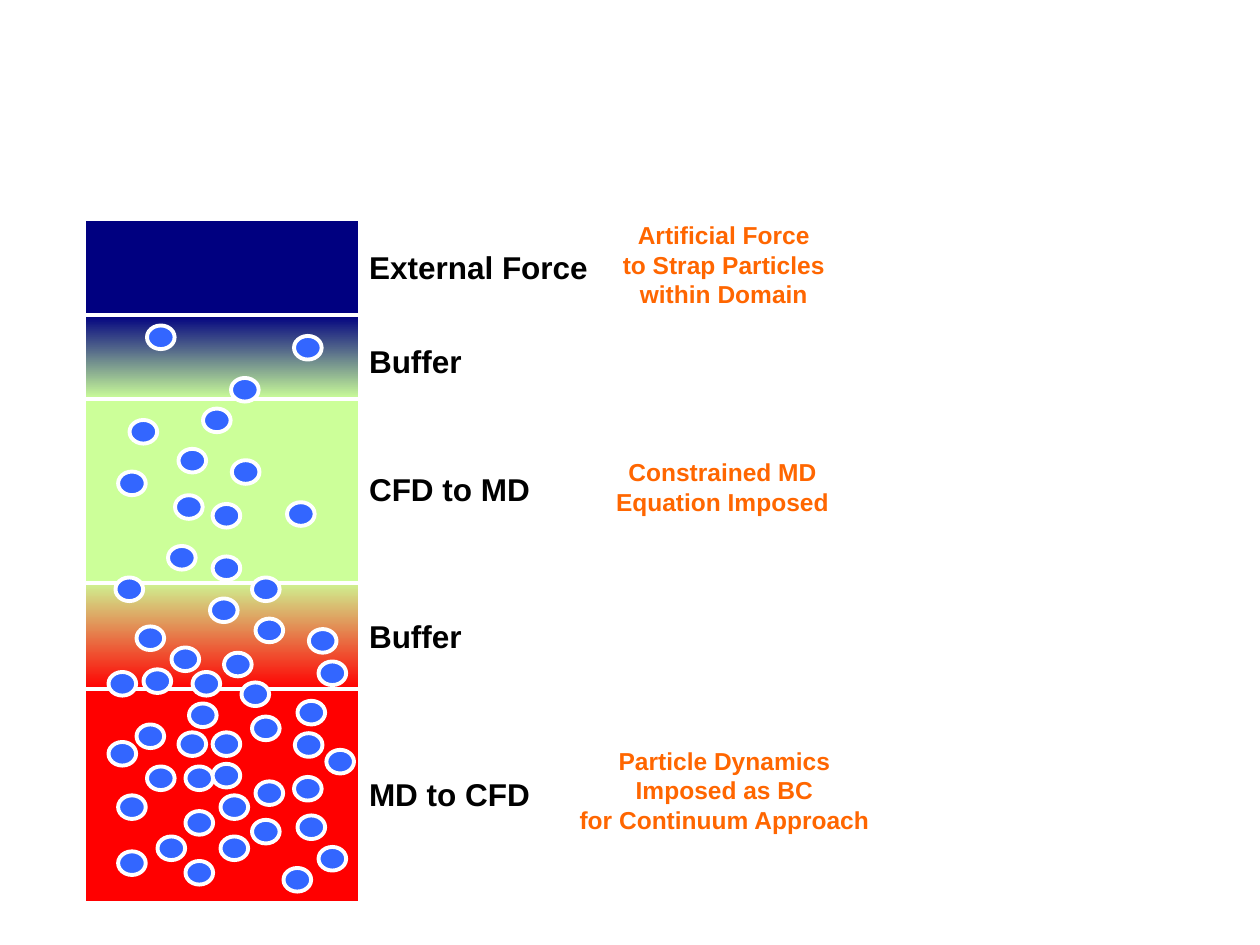
from pptx import Presentation
from pptx.dml.color import RGBColor
from pptx.enum.shapes import MSO_SHAPE
from pptx.enum.text import MSO_AUTO_SIZE, PP_ALIGN
from pptx.util import Pt

RECTANGLE = MSO_SHAPE.RECTANGLE
OVAL = MSO_SHAPE.OVAL
FIT_SHAPE = MSO_AUTO_SIZE.SHAPE_TO_FIT_TEXT
LEFT = PP_ALIGN.LEFT
CENTER = PP_ALIGN.CENTER

COLORS = {
    "external": "000080",
    "cfd": "CCFF99",
    "md": "FF0000",
    "particle": "3366FF",
    "outline": "FFFFFF",
    "label": "000000",
    "note": "FF6600",
}
LABEL_FONT = {"name": "Arial", "size": Pt(18), "bold": True}
NOTE_FONT = {"name": "Arial", "size": Pt(14), "bold": True}

COLUMN_LEFT, COLUMN_WIDTH = 48, 157.7
LABEL_LEFT, LABEL_WIDTH, LABEL_HEIGHT = 203.8, 174.2, 28.8
PARTICLE_WIDTH, PARTICLE_HEIGHT = 15.8, 13.5
OUTLINE_WIDTH = 2.25

BANDS = [
    (180, 48.2, ["external", "cfd"]),
    (329.8, 64.1, ["cfd", "md"]),
    (393.9, 122.4, ["md"]),
    (125.3, 54.7, ["external"]),
    (228.2, 105.1, ["cfd"]),
]
LABELS = [
    (138.2, "External Force"),
    (192.2, "Buffer"),
    (265, "CFD to MD"),
    (349.2, "Buffer"),
    (439.2, "MD to CFD"),
]
NOTES = [
    (347, 122.4, 133.2, 57.6, True,
     "Artificial Force\nto Strap Particles\nwithin Domain"),
    (336.2, 257.8, 153.4, 41, True,
     "Constrained MD\nEquation Imposed"),
    (324, 422.6, 180, 57.6, False,
     "Particle Dynamics\nImposed as BC\nfor Continuum Approach"),
]
PARTICLES = [
    (132, 216), (67.5, 269.5), (116, 233.5), (74, 240), (164, 287),
    (100, 283), (82, 382.5), (108, 402), (176.5, 359.5), (128, 373),
    (144, 409.5), (168.5, 419), (84, 438), (90, 478), (67.5, 486.5),
    (144, 468.5), (121.5, 288), (102, 256.5), (62, 424), (146, 353.5),
    (170, 400.5), (186.5, 428.5), (106, 438), (146, 446.5), (162, 496),
    (106, 492), (106, 463.5), (144, 330), (132.5, 263), (84, 186),
    (168, 192), (102, 418.5), (78, 414), (121.5, 418.5), (121.5, 436.5),
    (126, 454.5), (170, 466), (182, 484), (168, 444), (126, 478),
    (62, 384), (182, 378), (138, 390), (120, 342), (96, 312),
    (121.5, 318), (66, 330), (78, 358), (98, 370), (110, 384),
    (67.5, 454.5),
]


def rgb(key):
    return RGBColor.from_string(COLORS[key])


def apply_format(target, values):
    for attribute, value in values.items():
        setattr(target, attribute, value)


def add_outlined(slide, geometry, left, top, width, height, fill_keys):
    outlined = slide.shapes.add_shape(
        geometry, Pt(left), Pt(top), Pt(width), Pt(height))
    outlined.shadow.inherit = False
    outlined.line.color.rgb = rgb("outline")
    outlined.line.width = Pt(OUTLINE_WIDTH)
    fill = outlined.fill
    if len(fill_keys) == 1:
        fill.solid()
        fill.fore_color.rgb = rgb(fill_keys[0])
    else:
        fill.gradient()
        fill.gradient_angle = 270
        for stop, key in zip(fill.gradient_stops, fill_keys):
            stop.color.rgb = rgb(key)


def add_text(slide, left, top, width, height, text, font, color, align, wrap=True):
    box = slide.shapes.add_textbox(Pt(left), Pt(top), Pt(width), Pt(height))
    apply_format(box.text_frame, {"word_wrap": wrap, "auto_size": FIT_SHAPE})
    paragraph = box.text_frame.paragraphs[0]
    paragraph.text = text
    paragraph.alignment = align
    for run in paragraph.runs:
        apply_format(run.font, font)
        run.font.color.rgb = rgb(color)


def main():
    deck = Presentation()
    deck.slide_width, deck.slide_height = Pt(720), Pt(540)
    slide = deck.slides.add_slide(deck.slide_layouts[6])

    for top, height, fill_keys in BANDS:
        add_outlined(slide, RECTANGLE, COLUMN_LEFT, top,
                     COLUMN_WIDTH, height, fill_keys)
    for left, top in PARTICLES:
        add_outlined(slide, OVAL, left, top,
                     PARTICLE_WIDTH, PARTICLE_HEIGHT, ["particle"])
    for top, label in LABELS:
        add_text(slide, LABEL_LEFT, top, LABEL_WIDTH, LABEL_HEIGHT,
                 label, LABEL_FONT, "label", LEFT)
    for left, top, width, height, wrap, note in NOTES:
        add_text(slide, left, top, width, height,
                 note, NOTE_FONT, "note", CENTER, wrap)

    deck.save("out.pptx")


if __name__ == "__main__":
    main()
